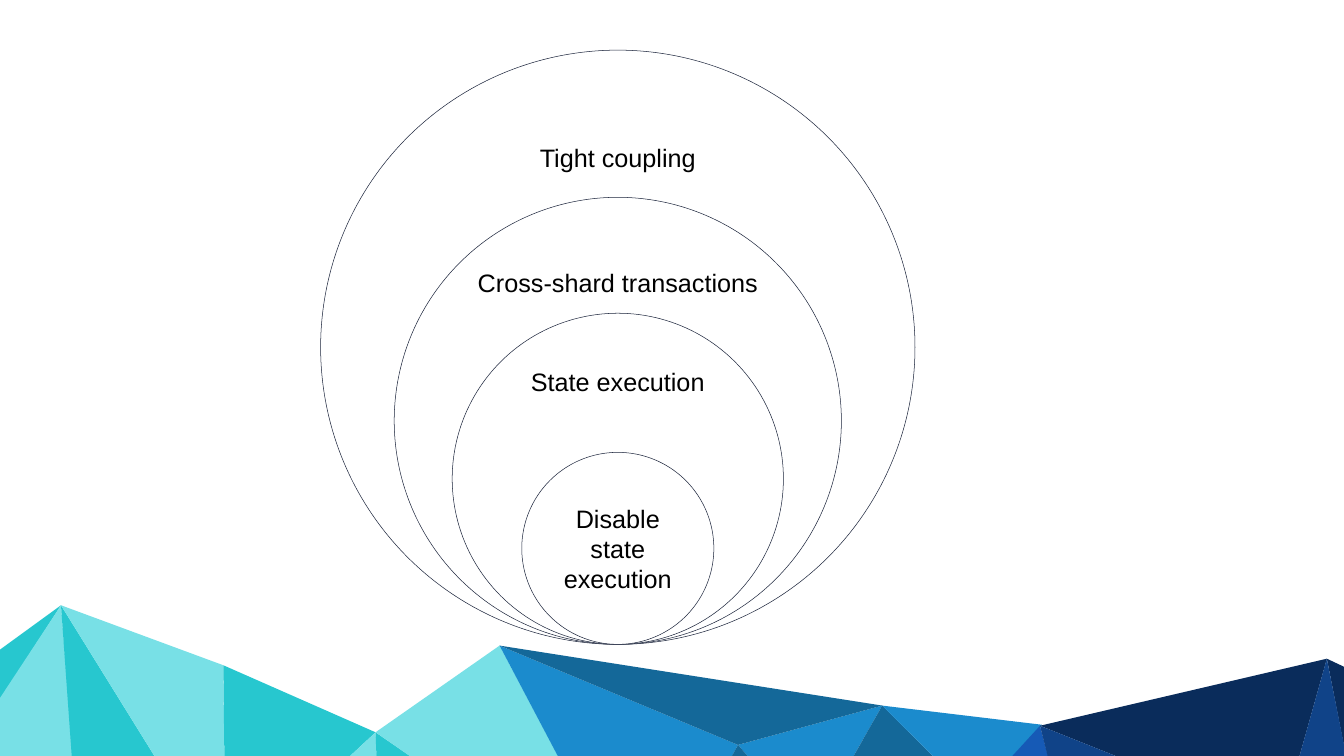
from pptx import Presentation
from pptx.dml.color import RGBColor
from pptx.enum import shapes, text
from pptx.util import Inches, Pt

WHITE = RGBColor(0xFF, 0xFF, 0xFF)
BLACK = RGBColor(0x00, 0x00, 0x00)
OUTLINE = RGBColor(0x1B, 0x24, 0x3B)
TEAL = RGBColor(0x27, 0xC7, 0xCF)
AQUA = RGBColor(0x78, 0xE0, 0xE6)
BLUE = RGBColor(0x1B, 0x8B, 0xCD)
STEEL = RGBColor(0x14, 0x68, 0x99)
ROYAL = RGBColor(0x16, 0x5A, 0xB6)
NAVY = RGBColor(0x0A, 0x2C, 0x5B)
INDIGO = RGBColor(0x10, 0x43, 0x88)


def write_text(shape, content, size=36, font="Arial", color=BLACK,
               anchor=text.MSO_ANCHOR.TOP):
    frame = shape.text_frame
    frame.word_wrap = True
    frame.vertical_anchor = anchor
    frame.margin_left = frame.margin_right = Inches(0.1)
    frame.margin_top = frame.margin_bottom = Inches(0.1)
    paragraph = frame.paragraphs[0]
    paragraph.alignment = text.PP_ALIGN.CENTER
    run = paragraph.add_run()
    run.text = content
    run.font.size = Pt(size)
    run.font.name = font
    run.font.color.rgb = color


presentation = Presentation()
presentation.slide_width = Inches(26.66)
presentation.slide_height = Inches(15)
slide = presentation.slides.add_slide(presentation.slide_layouts[6])
slide.background.fill.solid()
slide.background.fill.fore_color.rgb = WHITE

left_peak = (1.21, 12.01)
left_shoulder = (4.43, 13.2)
left_valley = (7.45, 14.53)
middle_peak = (9.91, 12.81)
middle_valley = (14.64, 14.78)
middle_ridge = (17.5, 14)
right_valley = (20.63, 14.4)
right_peak = (26.32, 13.07)
steel_foot = (16.1, 16.47)
royal_foot = (19.33, 15.82)
navy_foot = (25.41, 16.31)

facets = [
    (TEAL, [left_peak, (0, 12.89), (0, 13.88)]),
    (AQUA, [(1.57, 16.64), left_peak, (-0.02, 13.88), (-0.02, 16.64)]),
    (TEAL, [(4.08, 16.64), left_peak, (1.54, 16.64)]),
    (AQUA, [(4.47, 16.64), left_shoulder, left_peak, (4.08, 16.64)]),
    (TEAL, [(5.18, 16.64), left_valley, left_shoulder, (4.47, 16.64)]),
    (AQUA, [(7.55, 16.64), left_valley, (5.18, 16.64)]),
    (TEAL, [(10.52, 16.64), left_valley, (7.53, 16.64)]),
    (AQUA, [(11.94, 16.64), middle_peak, left_valley, (10.49, 16.64)]),
    (BLUE, [(13.62, 16.66), middle_valley, middle_peak, (11.94, 16.66)]),
    (BLUE, [middle_valley, steel_foot, middle_ridge]),
    (STEEL, [steel_foot, royal_foot, middle_ridge]),
    (BLUE, [middle_ridge, royal_foot, (20.67, 14.38)]),
    (ROYAL, [(21.24, 16.71), right_valley, royal_foot, (20.28, 16.71)]),
    (NAVY, [right_valley, navy_foot, right_peak]),
    (INDIGO, [(24.41, 16.71), navy_foot, right_valley, (21.21, 16.71)]),
    (NAVY, [(26.81, 13.3), right_peak, (26.81, 15.57)]),
    (INDIGO, [(26.81, 16.71), (26.81, 15.52), right_peak, navy_foot, (26, 16.71)]),
    (STEEL, [middle_peak, middle_ridge, middle_valley]),
    (STEEL, [(15.71, 16.68), steel_foot, middle_valley, (13.59, 16.68)]),
]
for color, corners in facets:
    points = [(Inches(x), Inches(y)) for x, y in corners]
    builder = slide.shapes.build_freeform(*points[0])
    builder.add_line_segments(points[1:], close=True)
    facet = builder.convert_to_shape()
    facet.shadow.inherit = False
    facet.fill.solid()
    facet.fill.fore_color.rgb = color
    facet.line.fill.background()

center_x, circles_bottom = 12.255, 12.785
circles = [
    ("Tight coupling", 11.79, text.MSO_ANCHOR.TOP),
    ("Cross-shard transactions", 8.87, text.MSO_ANCHOR.TOP),
    ("State execution", 6.57, text.MSO_ANCHOR.TOP),
    ("Disable state execution", 3.81, text.MSO_ANCHOR.MIDDLE),
]
for label, diameter, anchor in circles:
    circle = slide.shapes.add_shape(
        shapes.MSO_SHAPE.OVAL,
        Inches(center_x - diameter / 2), Inches(circles_bottom - diameter),
        Inches(diameter), Inches(diameter))
    circle.shadow.inherit = False
    circle.fill.solid()
    circle.fill.fore_color.rgb = WHITE
    circle.line.color.rgb = OUTLINE
    circle.line.width = Pt(0.75)
    write_text(circle, label, anchor=anchor)

presentation.save("out.pptx")
